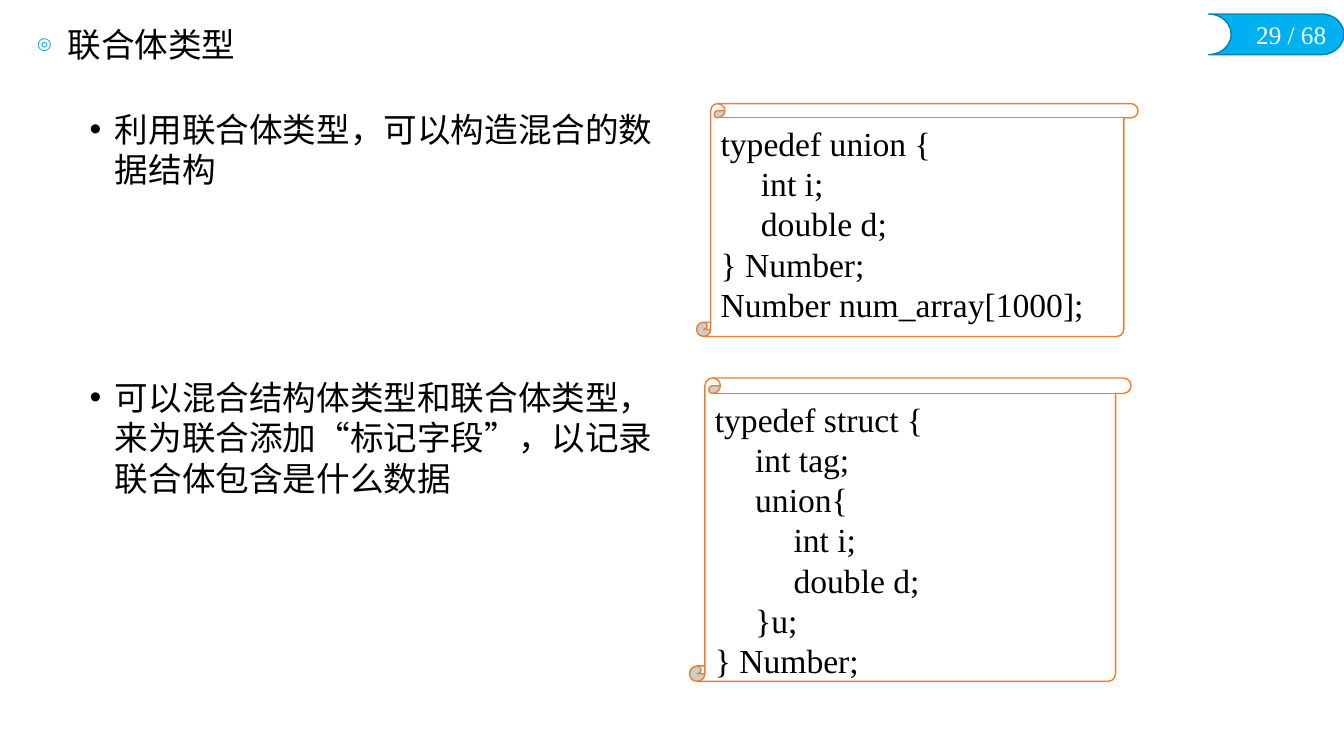
from lxml import etree
from pptx import Presentation
from pptx.dml.color import RGBColor
from pptx.enum.shapes import MSO_SHAPE
from pptx.enum.text import MSO_ANCHOR, MSO_AUTO_SIZE, PP_ALIGN
from pptx.oxml.ns import qn
from pptx.util import Pt

BLACK = RGBColor(0x00, 0x00, 0x00)
WHITE = RGBColor(0xFF, 0xFF, 0xFF)
SKY = RGBColor(0x00, 0xB0, 0xF0)
DEEP_SKY = RGBColor(0x00, 0x82, 0xB2)
ORANGE = RGBColor(0xED, 0x7D, 0x31)
SCROLL, BADGE = MSO_SHAPE.VERTICAL_SCROLL, MSO_SHAPE.FLOWCHART_STORED_DATA
LEFT, RIGHT = PP_ALIGN.LEFT, PP_ALIGN.RIGHT
TOP, MIDDLE = MSO_ANCHOR.TOP, MSO_ANCHOR.MIDDLE
NO_FIT = MSO_AUTO_SIZE.NONE


def add_bullet(paragraph, char, indent, color=None, percent=100):
    props = paragraph._p.get_or_add_pPr()
    props.set("marL", str(Pt(indent)))
    props.set("indent", str(-Pt(indent)))
    if color is not None:
        holder = etree.SubElement(props, qn("a:buClr"))
        etree.SubElement(holder, qn("a:srgbClr"), val=str(color))
    etree.SubElement(props, qn("a:buSzPct"), val=str(percent * 1000))
    etree.SubElement(props, qn("a:buFont"), typeface="Arial")
    etree.SubElement(props, qn("a:buChar"), char=char)


def style(paragraph, size=24, color=BLACK, align=LEFT):
    paragraph.alignment = align
    paragraph.font.name = "Times New Roman"
    paragraph.font.size = Pt(size)
    paragraph.font.color.rgb = color


prs = Presentation()
prs.slide_width, prs.slide_height = Pt(960), Pt(540)
slide = prs.slides.add_slide(prs.slide_layouts[5])
shapes = slide.shapes

# Page badge
badge = shapes.add_shape(BADGE, Pt(863.3), Pt(10), Pt(96.7), Pt(29))
badge.rotation = 180
badge.shadow.inherit = False
badge.fill.solid()
badge.fill.fore_color.rgb = SKY
badge.line.color.rgb = DEEP_SKY
badge.line.width = Pt(1)

page = shapes.add_textbox(Pt(886), Pt(10), Pt(68.4), Pt(29)).text_frame
page.word_wrap = False
page.text = "29 / 68"
style(page.paragraphs[0], 18, WHITE, RIGHT)

# Title
title = shapes.title
title.left, title.top, title.width, title.height = Pt(19.4), Pt(16.5), Pt(458.6), Pt(33)
heading = title.text_frame
heading.auto_size = NO_FIT
heading.vertical_anchor = MIDDLE
heading.text = "联合体类型"
add_bullet(heading.paragraphs[0], "◎", 21.6, SKY, 50)
heading.paragraphs[0].line_spacing = 0.9
style(heading.paragraphs[0])

# Explanations, each beside its code
points = shapes.add_textbox(Pt(57), Pt(74), Pt(430.5), Pt(437)).text_frame
points.word_wrap = True
points.text = (
    "利用联合体类型，可以构造混合的数据结构\n"
    "可以混合结构体类型和联合体类型，来为联合添加“标记字段”，以记录联合体包含是什么数据"
)
for point in points.paragraphs:
    add_bullet(point, "•", 18)
    style(point)
points.paragraphs[1].space_before = Pt(134)

# Code scrolls: left, top, height, curl, tab stops, code
code_scrolls = [
    (497.5, 74, 166.3, 0.061, [28.8],
     "typedef union {\n\tint i;\n\tdouble d;\n} Number;\nNumber num_array[1000];"),
    (492.5, 270, 216.7, 0.051, [28.8, 56.2],
     "typedef struct {\n\tint tag;\n\tunion{\n\t\tint i;\n\t\tdouble d;\n\t}u;\n} Number;"),
]
for left, top, height, curl, stops, code in code_scrolls:
    scroll = shapes.add_shape(SCROLL, Pt(left), Pt(top), Pt(315.4), Pt(height))
    scroll.adjustments[0] = curl
    scroll.shadow.inherit = False
    scroll.fill.solid()
    scroll.fill.fore_color.rgb = WHITE
    scroll.line.color.rgb = ORANGE
    scroll.line.width = Pt(1)
    listing = scroll.text_frame
    listing.vertical_anchor = TOP
    listing.text = code
    for line in listing.paragraphs:
        tabs = etree.SubElement(line._p.get_or_add_pPr(), qn("a:tabLst"))
        for stop in stops:
            etree.SubElement(tabs, qn("a:tab"), pos=str(Pt(stop)), algn="l")
        style(line)

prs.save("out.pptx")
